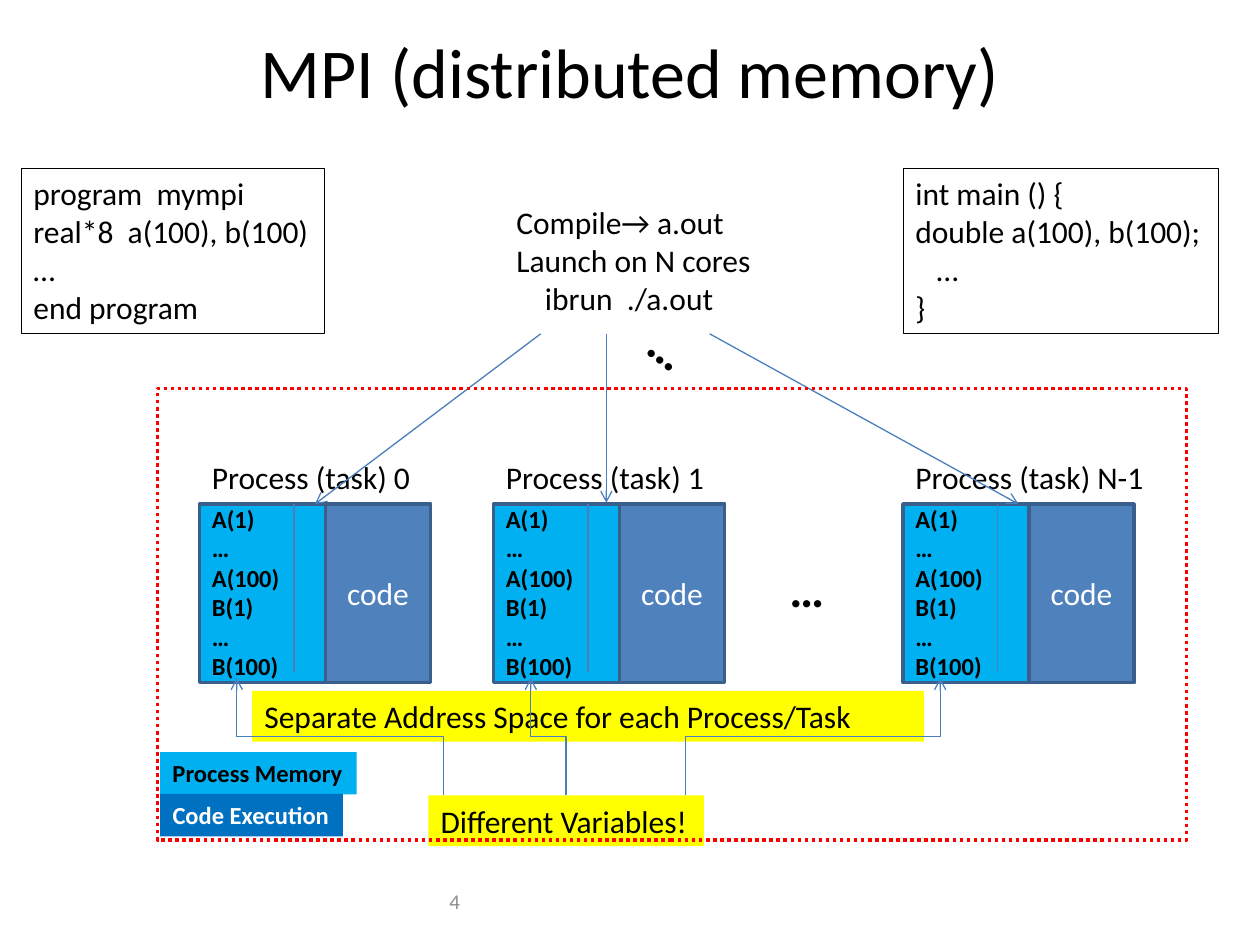
from dataclasses import dataclass
from typing import Optional

from lxml import etree
from pptx import Presentation
from pptx.dml.color import RGBColor
from pptx.enum.dml import MSO_LINE
from pptx.enum.shapes import MSO_CONNECTOR, MSO_SHAPE
from pptx.enum.text import MSO_ANCHOR, PP_ALIGN
from pptx.oxml.ns import qn
from pptx.util import Pt

RECT = MSO_SHAPE.RECTANGLE
STRAIGHT, ELBOW = MSO_CONNECTOR.STRAIGHT, MSO_CONNECTOR.ELBOW
LEFT, CENTER, RIGHT = PP_ALIGN.LEFT, PP_ALIGN.CENTER, PP_ALIGN.RIGHT
TOP, MIDDLE = MSO_ANCHOR.TOP, MSO_ANCHOR.MIDDLE
DOTTED = MSO_LINE.ROUND_DOT

BLACK = RGBColor(0x00, 0x00, 0x00)
WHITE = RGBColor(0xFF, 0xFF, 0xFF)
GRAY = RGBColor(0x8C, 0x8C, 0x8C)
RED = RGBColor(0xFF, 0x00, 0x00)
YELLOW = RGBColor(0xFF, 0xFF, 0x00)
MEMORY = RGBColor(0x00, 0xB0, 0xF0)
CODE = RGBColor(0x4F, 0x81, 0xBD)
EXECUTION = RGBColor(0x00, 0x70, 0xC0)
BORDER = RGBColor(0x3A, 0x5F, 0x8C)
WIRE = RGBColor(0x4B, 0x7E, 0xBC)

ROW_TOP, ROW_H = 288, 102
MEMORY_W, CODE_X, CODE_W = 132, 72, 60
VARIABLES = "A(1)\n…\nA(100)\nB(1)\n…\nB(100)"


@dataclass
class Box:
    x: float
    y: float
    w: float
    h: float
    fill: Optional[RGBColor] = None
    line: Optional[RGBColor] = None
    weight: float = 0.25


@dataclass
class Process:
    x: float
    label: str
    label_w: float
    launch_x: float
    variable_x: float


PROCESSES = [
    Process(114, "Process (task) 0", 129, 309, 253.4),
    Process(282, "Process (task) 1", 129, 346.5, 323.4),
    Process(516, "Process (task) N-1", 146, 405.5, 391.7),
]


def write(sp, text: str, size: float = 18, color: RGBColor = BLACK,
          bold: bool = False, align=LEFT, anchor=TOP, wrap: bool = False,
          indents: Optional[dict] = None):
    tf = sp.text_frame
    tf.word_wrap = wrap
    tf.vertical_anchor = anchor
    for i, line in enumerate(text.split("\n")):
        p = tf.paragraphs[0] if i == 0 else tf.add_paragraph()
        p.alignment = align
        if indents and i in indents:
            p._p.get_or_add_pPr().set("marL", str(Pt(indents[i])))
        r = p.add_run()
        r.text = line
        r.font.name = "Calibri"
        r.font.size = Pt(size)
        r.font.bold = bold
        r.font.color.rgb = color
    return sp


def add_text(s, x: float, y: float, w: float, h: float):
    return s.shapes.add_textbox(Pt(x), Pt(y), Pt(w), Pt(h))


def add_box(s, box: Box):
    sp = s.shapes.add_shape(RECT, Pt(box.x), Pt(box.y), Pt(box.w), Pt(box.h))
    sp.shadow.inherit = False
    if box.fill is None:
        sp.fill.background()
    else:
        sp.fill.solid()
        sp.fill.fore_color.rgb = box.fill
    if box.line is None:
        sp.line.fill.background()
    else:
        sp.line.color.rgb = box.line
        sp.line.width = Pt(box.weight)
    return sp


def add_wire(s, x1: float, y1: float, x2: float, y2: float,
             kind=STRAIGHT, arrow: bool = True):
    c = s.shapes.add_connector(kind, Pt(x1), Pt(y1), Pt(x2), Pt(y2))
    c.line.color.rgb = WIRE
    c.line.width = Pt(0.75)
    if arrow:
        ln = c.line._get_or_add_ln()
        etree.SubElement(ln, qn("a:tailEnd")).set("type", "arrow")
    etree.SubElement(c._element.spPr, qn("a:effectLst"))
    return c


def add_rising_elbow(s, x1: float, y1: float, x2: float, y2: float):
    cx, cy = (x1 + x2) / 2, (y1 + y2) / 2
    half_w, half_h = (y1 - y2) / 2, (x1 - x2) / 2
    c = add_wire(s, cx - half_w, cy + half_h, cx + half_w, cy - half_h, ELBOW)
    c._element.spPr.find(qn("a:xfrm")).set("rot", str(270 * 60000))
    return c


def main():
    prs = Presentation()
    prs.slide_width, prs.slide_height = Pt(720), Pt(540)
    s = prs.slides.add_slide(prs.slide_layouts[5])

    title = s.shapes.title
    title.left, title.top, title.width, title.height = Pt(36), Pt(6), Pt(648), Pt(68)
    write(title, "MPI (distributed memory)", size=40, align=CENTER,
          anchor=MIDDLE, wrap=True)
    write(add_text(s, 102, 500.5, 168, 28.75), "4", size=12, color=GRAY,
          align=RIGHT, anchor=MIDDLE, wrap=True)

    memories = []
    for proc in PROCESSES:
        memories.append(add_box(s, Box(proc.x, ROW_TOP, MEMORY_W, ROW_H, MEMORY, BORDER, 2)))
        write(add_text(s, proc.x, 284.4, 53.5, 108.7), VARIABLES, size=14, bold=True)
        add_wire(s, proc.x + 54, ROW_TOP, proc.x + 54, 384, arrow=False)
        write(add_text(s, proc.x, 258, proc.label_w, 29), proc.label)

    write(add_box(s, Box(144, 394.75, 384, 29, YELLOW)),
          "Separate Address Space for each Process/Task", wrap=True)
    write(add_box(s, Box(244.75, 454.5, 157.5, 29, YELLOW)), "Different Variables!")
    for proc in PROCESSES:
        add_rising_elbow(s, proc.variable_x, 454.5, proc.x + 21.3, 387.5)

    write(add_text(s, 444, 315.5, 34.5, 41), "…", size=28, bold=True)
    write(add_box(s, Box(12, 96, 173.5, 94.5, line=BLACK)),
          "program  mympi\nreal*8  a(100), b(100)\n…\nend program")
    write(add_box(s, Box(516, 96, 180, 94.5, line=BLACK)),
          "int main () {\ndouble a(100), b(100);\n…\n}", indents={2: 12.2})
    write(add_text(s, 288, 112.5, 174, 72.7),
          "Compile→ a.out\nLaunch on N cores\nibrun  ./a.out",
          wrap=True, indents={2: 16.3})

    first, middle, last = PROCESSES
    for proc, memory in ((first, memories[0]), (last, memories[-1])):
        c = add_wire(s, proc.launch_x, 190.75, proc.x + MEMORY_W / 2, ROW_TOP)
        c.end_connect(memory, 0)
    add_wire(s, middle.launch_x, 190.75, middle.launch_x, 287.3)

    dots = write(add_text(s, 365.75, 178.5, 34.5, 41), "…", size=28, bold=True)
    dots.rotation = 37.8

    for proc in PROCESSES:
        write(add_box(s, Box(proc.x + CODE_X, ROW_TOP, CODE_W, ROW_H, CODE, BORDER, 2)),
              "code", color=WHITE, align=CENTER, anchor=MIDDLE, wrap=True)

    write(add_box(s, Box(91.5, 429.75, 112.3, 24.2, MEMORY)), "Process Memory",
          size=14, bold=True)
    write(add_box(s, Box(91.5, 453.75, 104.4, 24.2, EXECUTION)), "Code Execution",
          size=14, color=WHITE, bold=True)
    frame = add_box(s, Box(90, 222, 588, 258, line=RED, weight=2))
    frame.line.dash_style = DOTTED

    prs.save("out.pptx")


if __name__ == "__main__":
    main()
